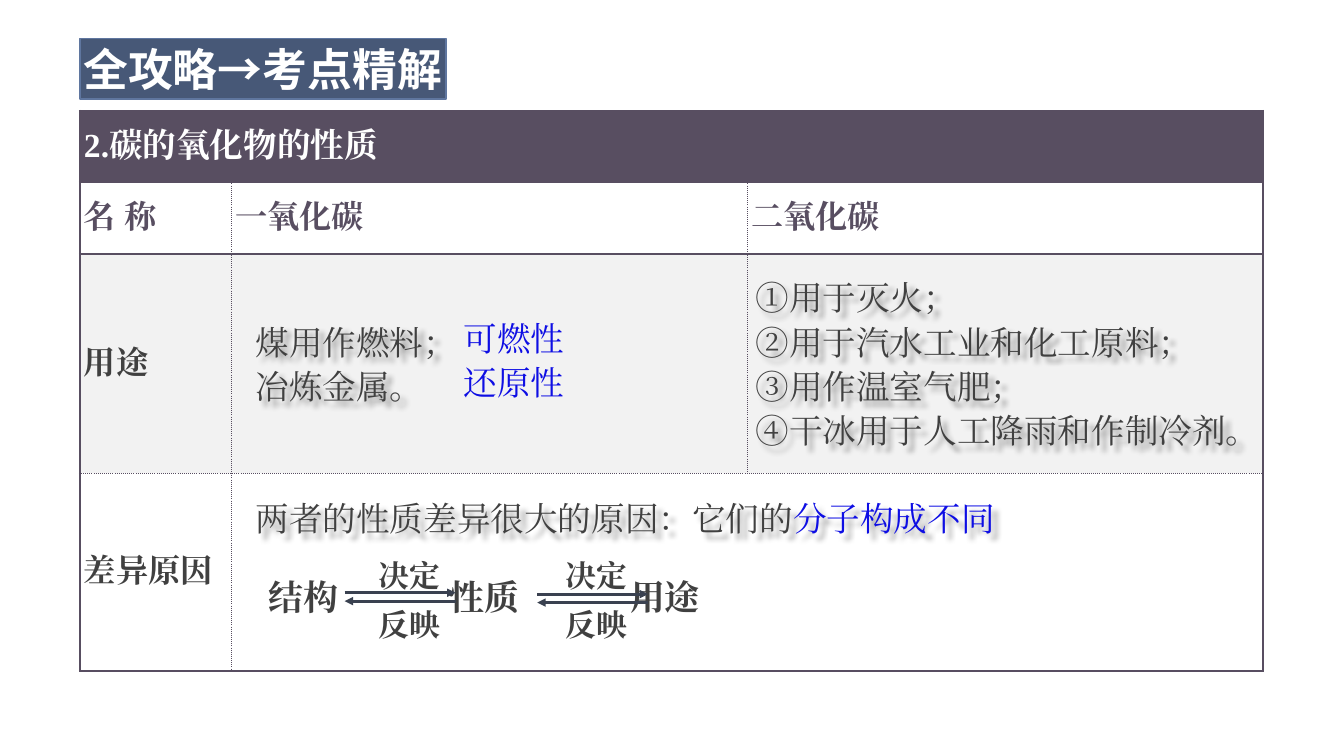
from lxml import etree
from pptx import Presentation
from pptx.dml.color import RGBColor
from pptx.enum import shapes, text
from pptx.oxml import ns, parse_xml
from pptx.util import Pt

PLUM = RGBColor(0x58, 0x4E, 0x61)
WHITE = RGBColor(0xFF, 0xFF, 0xFF)
PALE = RGBColor(0xF2, 0xF2, 0xF2)
INK = RGBColor(0x40, 0x40, 0x40)
BLUE = RGBColor(0x0E, 0x0E, 0xE4)
ARROW = RGBColor(0x3A, 0x41, 0x50)
BANNER = RGBColor(0x47, 0x58, 0x77)
BANNER_EDGE = RGBColor(0x5F, 0x76, 0x9F)

SERIF = "Times New Roman"
SANS = "Noto Sans CJK SC"
LEFT, CENTER = text.PP_ALIGN.LEFT, text.PP_ALIGN.CENTER
MIDDLE, TOP = text.MSO_ANCHOR.MIDDLE, text.MSO_ANCHOR.TOP

COLUMNS = (108, 368.5, 368.5)
ROWS = (51, 51, 156.5, 141.5)
CELLS = (
    ("2.碳的氧化物的性质", "", ""),
    ("名 称", "一氧化碳", "二氧化碳"),
    ("用途", "", ""),
    ("差异原因", "", ""),
)
ROW_STYLES = ((PLUM, WHITE, 24), (WHITE, PLUM, 23), (PALE, INK, 23), (WHITE, INK, 23))


def set_all(target, **values):
    for name, value in values.items():
        setattr(target, name, value)


def add_span(para, words, size, color, bold=False, face=SERIF):
    span = para.add_run()
    span.text = words
    set_all(span.font, size=Pt(size), bold=bold, name=face)
    span.font.color.rgb = color
    east_asian = etree.SubElement(span.font._element, ns.qn("a:ea"))
    east_asian.set("typeface", face)


def set_frame(frame, insets, anchor, wrap=True):
    left, top, right, bottom = (Pt(inset) for inset in insets)
    set_all(frame, margin_left=left, margin_top=top, margin_right=right,
            margin_bottom=bottom, vertical_anchor=anchor, word_wrap=wrap,
            auto_size=text.MSO_AUTO_SIZE.NONE)


def add_text(page, place, lines, size=24, bold=False, align=LEFT, anchor=TOP,
             insets=(5.5, 5, 3, 5), spacing=1.1):
    """Each line is a list of (words, colour) spans."""
    box = page.shapes.add_textbox(*(Pt(length) for length in place))
    frame = box.text_frame
    set_frame(frame, insets, anchor)
    for number, spans in enumerate(lines):
        para = frame.add_paragraph() if number else frame.paragraphs[0]
        set_all(para, alignment=align, line_spacing=spacing if number else 1.0)
        for words, color in spans:
            add_span(para, words, size, color, bold)
    return box


def add_shadow(box):
    box._element.spPr.append(parse_xml(
        f'<a:effectLst {ns.nsdecls("a")}><a:outerShdw blurRad="50800" dist="63500" '
        'dir="2700000" algn="tl" rotWithShape="0"><a:srgbClr val="000000">'
        '<a:alpha val="40000"/></a:srgbClr></a:outerShdw></a:effectLst>'))


def add_label(page, middle_x, middle_y, words, size):
    width, height = 72, 38
    place = (middle_x - width / 2, middle_y - height / 2, width, height)
    add_text(page, place, [[(words, INK)]], size, True, CENTER, MIDDLE, (0, 0, 0, 0))


def add_arrow(page, start_x, end_x, y):
    line = page.shapes.add_connector(shapes.MSO_CONNECTOR.STRAIGHT,
                                     Pt(start_x), Pt(y), Pt(end_x), Pt(y))
    line.line.width = Pt(2)
    line.line.color.rgb = ARROW
    etree.SubElement(line.line._get_or_add_ln(), ns.qn("a:tailEnd"), type="triangle")
    etree.SubElement(line._element.spPr, ns.qn("a:effectLst"))


def set_borders(cell, dotted):
    """Frame the cell, dotting the sides named in dotted."""
    props = cell._tc.get_or_add_tcPr()
    for index, side in enumerate("LRTB"):
        width, dash = (Pt(0.25), "sysDot") if side in dotted else (Pt(1.5), "solid")
        props.insert(index, parse_xml(
            f'<a:ln{side} {ns.nsdecls("a")} w="{int(width)}"><a:solidFill>'
            f'<a:srgbClr val="{PLUM}"/></a:solidFill><a:prstDash val="{dash}"/></a:ln{side}>'))


def dotted_sides(row, column):
    sides = ""
    if row > 0:
        sides += "L" if column > 0 else ""
        last = 1 if row == 3 else 2
        sides += "R" if column < last else ""
    return sides + {2: "B", 3: "T"}.get(row, "")


def add_property_table(page):
    holder = page.shapes.add_table(len(ROWS), len(COLUMNS), Pt(57), Pt(79.2),
                                   Pt(sum(COLUMNS)), Pt(sum(ROWS)))
    table = holder.table
    set_all(table, first_row=False, horz_banding=False)
    for column, width in zip(table.columns, COLUMNS):
        column.width = Pt(width)
    for row, height in zip(table.rows, ROWS):
        row.height = Pt(height)
    table.cell(0, 0).merge(table.cell(0, 2))
    table.cell(3, 1).merge(table.cell(3, 2))
    for row, (fill, color, size) in enumerate(ROW_STYLES):
        for column, words in enumerate(CELLS[row]):
            cell = table.cell(row, column)
            set_all(cell, vertical_anchor=MIDDLE, margin_left=Pt(3), margin_right=Pt(3),
                    margin_top=Pt(3), margin_bottom=Pt(3))
            cell.fill.solid()
            cell.fill.fore_color.rgb = fill
            set_borders(cell, dotted_sides(row, column))
            if words:
                add_span(cell.text_frame.paragraphs[0], words, size, color, True)


def format_title(title):
    set_all(title, left=Pt(57), top=Pt(27.4), width=Pt(261.4), height=Pt(43.2))
    title._element.spPr.append(parse_xml(
        f'<a:prstGeom {ns.nsdecls("a")} prst="roundRect"><a:avLst/></a:prstGeom>'))
    title.fill.solid()
    title.fill.fore_color.rgb = BANNER
    title.line.color.rgb = BANNER_EDGE
    title.line.width = Pt(1.25)
    set_frame(title.text_frame, (0, 0, 0, 0), MIDDLE, wrap=False)
    para = title.text_frame.paragraphs[0]
    para.alignment = CENTER
    add_span(para, "全攻略→考点精解", 32, WHITE, True, SANS)


def add_relations(page):
    """Structure, property and use, with a pair of arrows between neighbours."""
    for number, words in enumerate(("结构", "性质", "用途")):
        add_label(page, 217 + 129 * number, 426, words, 25)
    for middle, start, y in ((292.5, 246.2, 423.4), (426, 383.8, 424.4)):
        end = start + 79.2
        add_arrow(page, start, end, y)
        add_arrow(page, end, start, y + 6)
        add_label(page, middle, 411, "决定", 22)
        add_label(page, middle, 446, "反映", 22)


def main():
    deck = Presentation()
    set_all(deck, slide_width=Pt(960), slide_height=Pt(540))
    page = deck.slides.add_slide(deck.slide_layouts[5])
    format_title(page.shapes.title)
    add_property_table(page)

    monoxide = [[("煤用作燃料；", INK)], [("冶炼金属。", INK)]]
    dioxide = [[(words, INK)] for words in (
        "①用于灭火；", "②用于汽水工业和化工原料；",
        "③用作温室气肥；", "④干冰用于人工降雨和作制冷剂。")]
    reason = [[("两者的性质差异很大的原因：它们的", INK), ("分子构成不同", BLUE)]]
    for place, lines in (((177, 224.6, 150, 76), monoxide),
                         ((534.2, 193, 357, 134.6), dioxide),
                         ((177, 351, 561.6, 44), reason)):
        add_shadow(add_text(page, place, lines))

    add_text(page, (324, 223.2, 86.4, 68.4), [[("可燃性", BLUE)], [("还原性", BLUE)]],
             insets=(7.2, 3.6, 0, 3.6))
    add_relations(page)
    deck.save("out.pptx")


if __name__ == "__main__":
    main()
